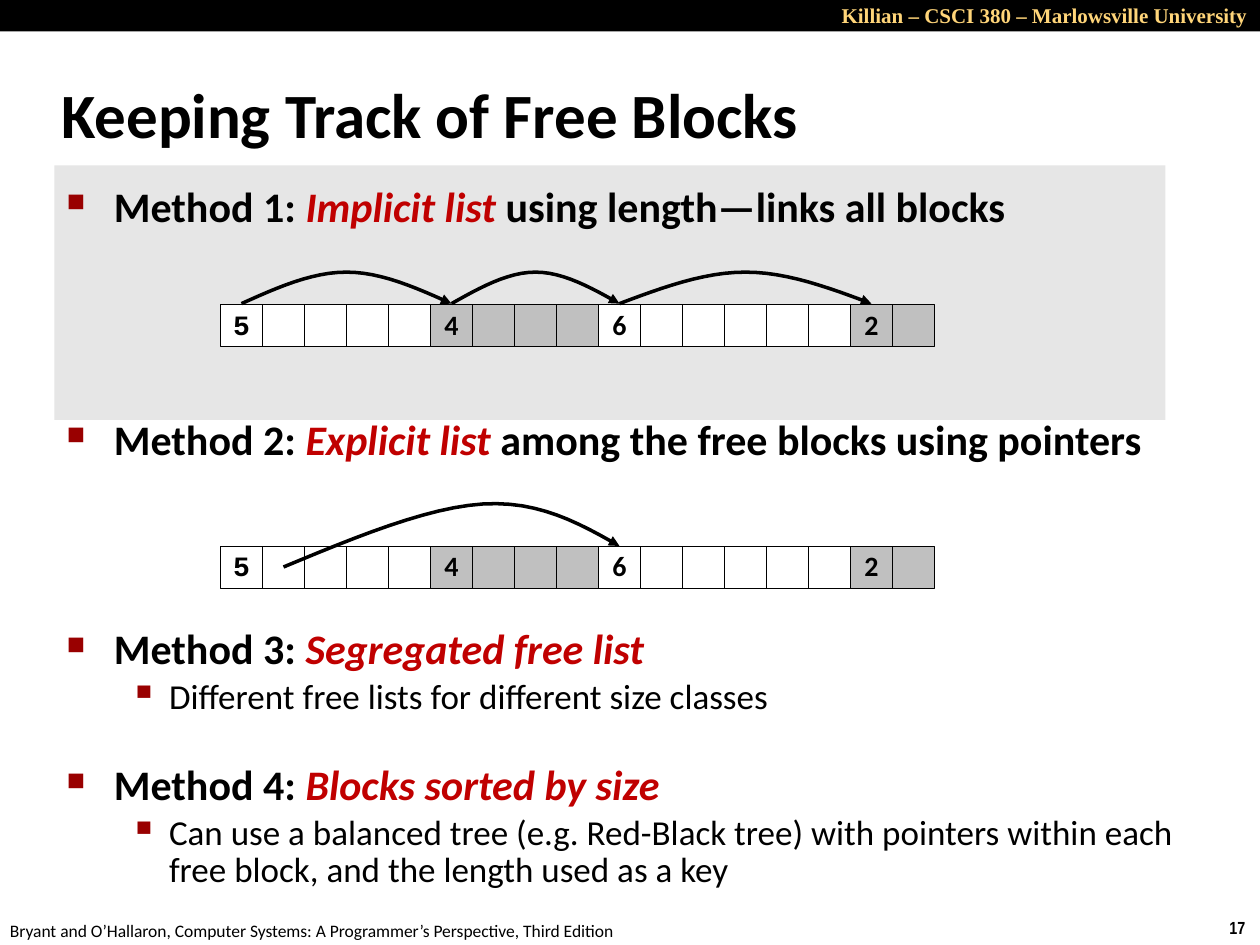
from lxml import etree
from pptx import Presentation
from pptx.dml.color import RGBColor
from pptx.enum.shapes import MSO_SHAPE
from pptx.enum.text import MSO_ANCHOR, PP_ALIGN
from pptx.oxml.ns import qn
from pptx.util import Pt

RECTANGLE = MSO_SHAPE.RECTANGLE
MIDDLE, TOP = MSO_ANCHOR.MIDDLE, MSO_ANCHOR.TOP
LEFT, CENTER, RIGHT = PP_ALIGN.LEFT, PP_ALIGN.CENTER, PP_ALIGN.RIGHT

COLORS = {
    "black": "000000", "white": "FFFFFF", "gold": "FFD579", "panel": "E6E6E6",
    "allocated": "C0C0C0", "bullet": "990000", "accent": "C00000",
}
CELL = 24
ROW_LEFT = 126
BLOCKS = [(5, "white", "Courier New"), (4, "allocated", "Calibri"),
          (6, "white", "Calibri"), (2, "allocated", "Calibri")]

METHOD = {"margin": 27, "indent": -27, "char": "■", "percent": 60}
DETAIL = {"margin": 58.5, "indent": -22.5, "char": "▪", "percent": 110}
BODY = [
    (METHOD, 0, 1, [("Method 1: ", 0), ("Implicit list ", 1),
                    ("using length—links all blocks", 0)]),
    (METHOD, 104.6, 1, [("Method 2: ", 0), ("Explicit list ", 1),
                        ("among the free blocks using pointers", 0)]),
    (METHOD, 95.7, 0.83, [("Method 3: ", 0), ("Segregated free list", 1)]),
    (DETAIL, 4, 0.88, [("Different free lists for different size classes", 0)]),
    (METHOD, 28.7, 0.83, [("Method 4: ", 0), ("Blocks sorted by size", 1)]),
    (DETAIL, 4, 0.88, [("Can use a balanced tree (e.g. Red-Black tree) with pointers "
                        "within each free block, and the length used as a key", 0)]),
]


def rgb(name):
    return RGBColor.from_string(COLORS[name])


def set_values(target, values):
    for name, value in values.items():
        setattr(target, name, value)


def add_span(para, text, size, color="black", font="Calibri", bold=False, italic=False):
    span = para.add_run()
    span.text = text
    set_values(span.font, {"name": font, "size": Pt(size), "bold": bold, "italic": italic})
    span.font.color.rgb = rgb(color)


def add_box(page, left, top, width, height, wrap=True, anchor=TOP):
    box = page.shapes.add_textbox(Pt(left), Pt(top), Pt(width), Pt(height))
    set_values(box.text_frame, {"word_wrap": wrap, "vertical_anchor": anchor})
    return box.text_frame


def add_label(page, place, text, size, align=LEFT, wrap=False, anchor=TOP, **style):
    para = add_box(page, *place, wrap, anchor).paragraphs[0]
    para.alignment = align
    add_span(para, text, size, **style)


def add_rectangle(page, left, top, width, height, fill, outline=None):
    shape = page.shapes.add_shape(RECTANGLE, Pt(left), Pt(top), Pt(width), Pt(height))
    shape.shadow.inherit = False
    shape.fill.solid()
    shape.fill.fore_color.rgb = rgb(fill)
    if outline:
        shape.line.color.rgb = rgb(outline)
        shape.line.width = Pt(0.26)
    else:
        shape.line.fill.background()
    return shape


def add_block_row(page, top):
    left = ROW_LEFT
    for size, fill, font in BLOCKS:
        for index in range(size):
            cell = add_rectangle(page, left, top, CELL, CELL, fill, "black")
            if index == 0:
                set_values(cell.text_frame, {"word_wrap": False, "vertical_anchor": MIDDLE})
                para = cell.text_frame.paragraphs[0]
                set_values(para, {"alignment": CENTER, "line_spacing": 0.98})
                add_span(para, str(size), 16, font=font, bold=True)
            left += CELL


def curve_points(start, first, second, end, steps=12):
    for step in range(1, steps + 1):
        t = step / steps
        weights = ((1 - t) ** 3, 3 * t * (1 - t) ** 2, 3 * t * t * (1 - t), t ** 3)
        yield tuple(Pt(sum(weight * point[axis] for weight, point
                           in zip(weights, (start, first, second, end))))
                    for axis in (0, 1))


def add_arc(page, start, *curves):
    builder = page.shapes.build_freeform(Pt(start[0]), Pt(start[1]))
    for first, second, end in curves:
        builder.add_line_segments(list(curve_points(start, first, second, end)), close=False)
        start = end
    arc = builder.convert_to_shape()
    arc.shadow.inherit = False
    arc.fill.background()
    arc.line.color.rgb = rgb("black")
    arc.line.width = Pt(2)
    etree.SubElement(arc.line._get_or_add_ln(), qn("a:tailEnd"), type="triangle")


def add_link(page, left, right, base, peak):
    middle, half = (left + right) / 2, (base + peak) / 2
    step = (right - left) / 6
    add_arc(page, (left, base),
            ((left + step, half), (middle - step, peak), (middle, peak)),
            ((middle + step, peak), (right - step, half), (right, base)))


def add_bullet(para, level):
    properties = para._p.get_or_add_pPr()
    properties.set("marL", str(Pt(level["margin"])))
    properties.set("indent", str(Pt(level["indent"])))
    color = etree.SubElement(properties, qn("a:buClr"))
    etree.SubElement(color, qn("a:srgbClr"), val=COLORS["bullet"])
    etree.SubElement(properties, qn("a:buSzPct"), val=str(level["percent"] * 1000))
    etree.SubElement(properties, qn("a:buChar"), char=level["char"])


def add_body(page):
    frame = add_box(page, 31, 99.4, 653, 423)
    for index, (level, before, spacing, spans) in enumerate(BODY):
        para = frame.add_paragraph() if index else frame.paragraphs[0]
        set_values(para, {"space_before": Pt(before), "line_spacing": spacing})
        add_bullet(para, level)
        is_method = level is METHOD
        for text, marked in spans:
            add_span(para, text, 24 if is_method else 20, "accent" if marked else "black",
                     bold=is_method, italic=bool(marked))


def main():
    deck = Presentation()
    set_values(deck, {"slide_width": Pt(720), "slide_height": Pt(540)})
    page = deck.slides.add_slide(deck.slide_layouts[6])
    add_rectangle(page, 0, 0, 720, 18, "black")
    add_label(page, (438, -2, 282, 22), "Killian – CSCI 380 – Marlowsville University", 12,
              RIGHT, True, color="gold", font="Times New Roman", bold=True)
    add_label(page, (695.5, 520.5, 24.5, 19.5), "17", 10, font="Arial Narrow", bold=True)
    add_label(page, (-1.4, 522, 366, 19.5), "Bryant and O’Hallaron, Computer Systems: "
              "A Programmer’s Perspective, Third Edition", 10)
    add_rectangle(page, 31, 94.5, 635, 145.5, "panel")
    add_label(page, (28, 34.5, 598, 60), "Keeping Track of Free Blocks", 36,
              wrap=True, anchor=MIDDLE, bold=True)
    add_body(page)
    add_block_row(page, 174)
    left = ROW_LEFT + CELL / 2
    for size, _, _ in BLOCKS[:-1]:
        add_link(page, left, left + size * CELL, 173.5, 155.5)
        left += size * CELL
    add_block_row(page, 312)
    add_arc(page, (162, 324), ((203, 307), (244, 290), (276, 288)),
            ((308, 286), (331, 299), (354, 312)))
    deck.save("out.pptx")


main()
